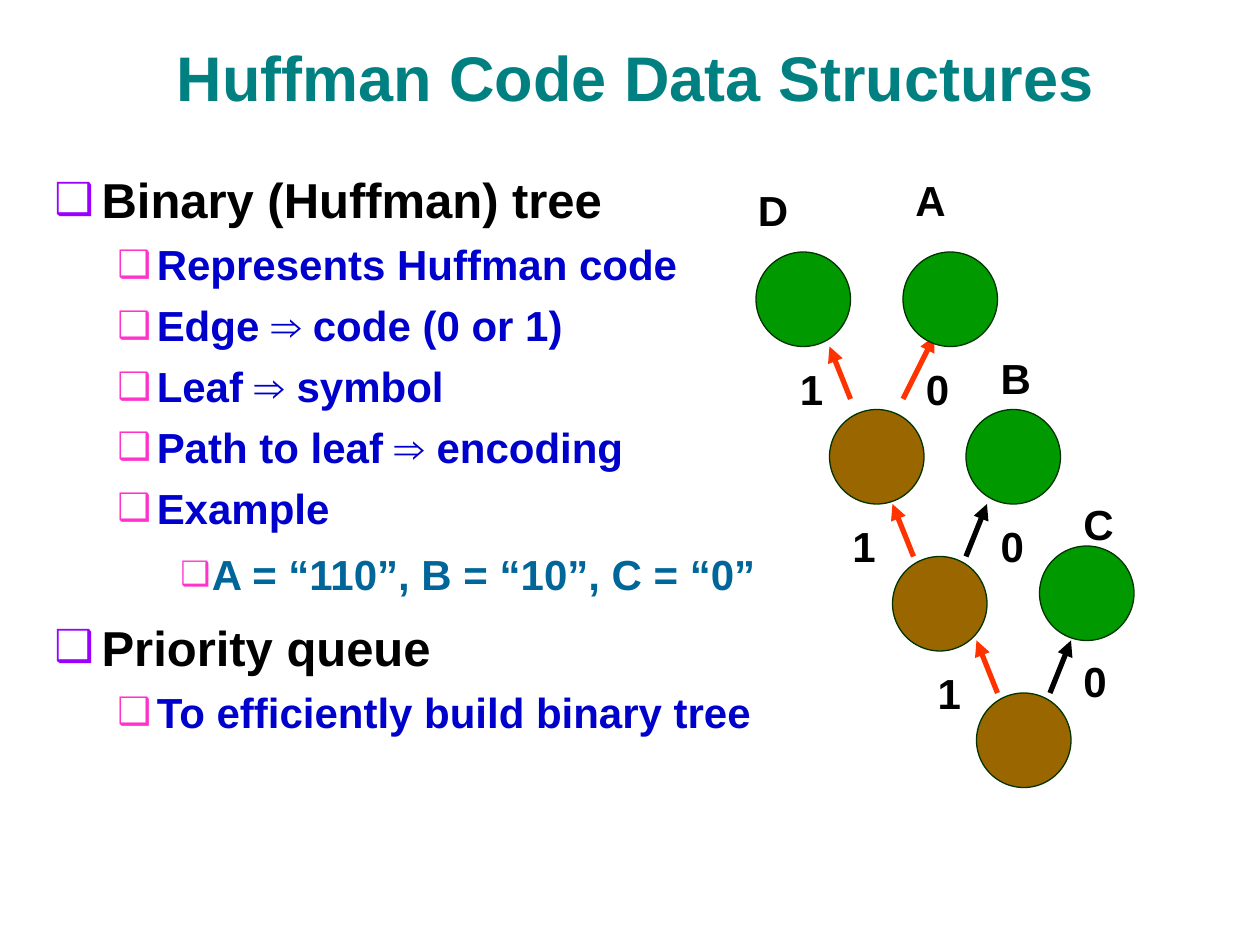
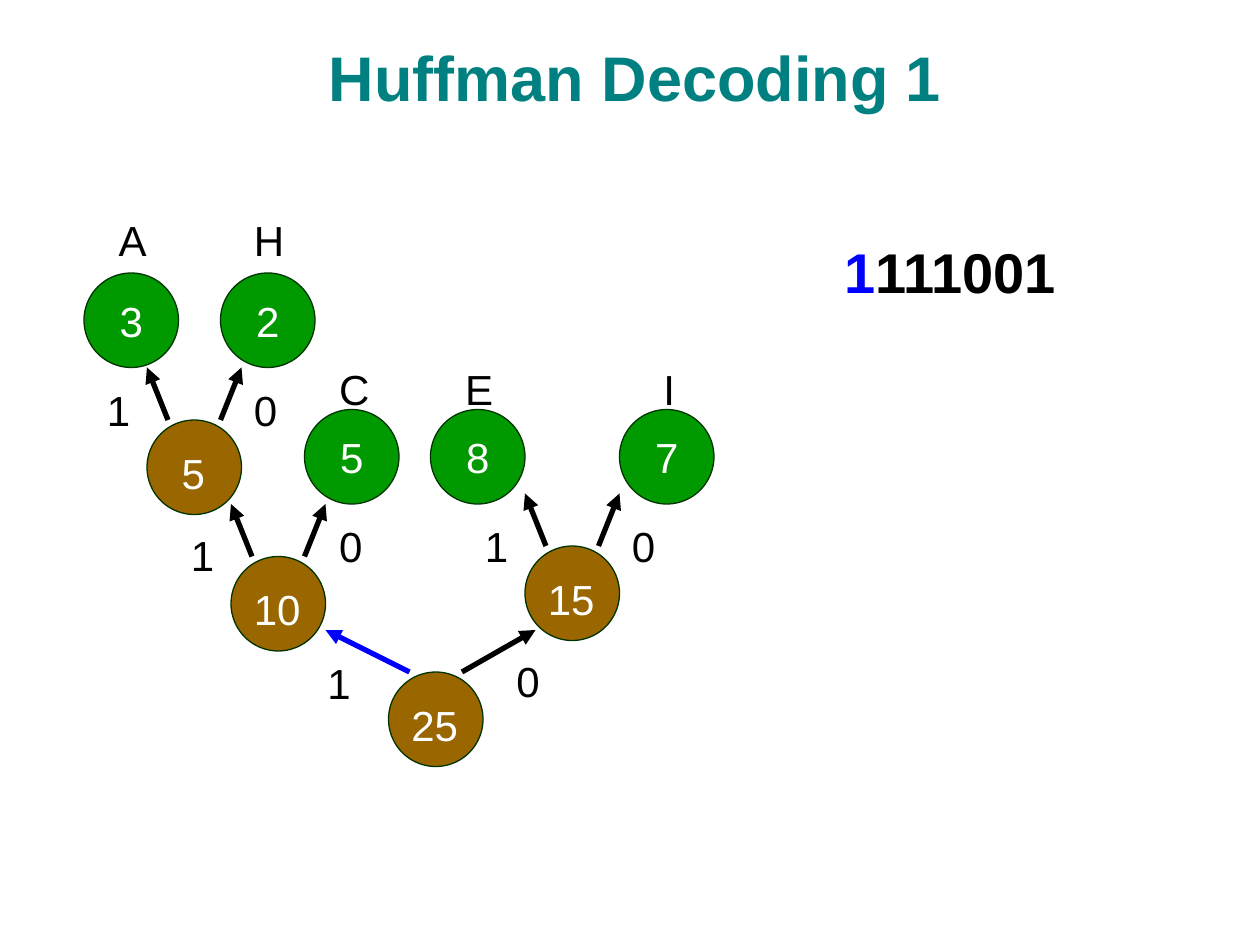
import dataclasses
from typing import Optional

import lxml.etree
import pptx
import pptx.dml.color
import pptx.enum.shapes
import pptx.enum.text
import pptx.oxml.ns
import pptx.shapes.autoshape
import pptx.slide
import pptx.text.text
import pptx.util

RGBColor = pptx.dml.color.RGBColor
TEAL = RGBColor(0x00, 0x80, 0x80)
BLACK = RGBColor(0x00, 0x00, 0x00)
WHITE = RGBColor(0xFF, 0xFF, 0xFF)
BLUE = RGBColor(0x00, 0x00, 0xFF)
NAVY = RGBColor(0x00, 0x00, 0xCC)
STEEL = RGBColor(0x00, 0x66, 0x99)
VIOLET = RGBColor(0x99, 0x00, 0xFF)
PINK = RGBColor(0xFF, 0x33, 0xCC)
ORANGE = RGBColor(0xFF, 0x33, 0x00)
GREEN = RGBColor(0x00, 0x99, 0x00)
BROWN = RGBColor(0x99, 0x66, 0x00)
OUTLINE = RGBColor(0x00, 0x33, 0x00)

FONT = "Arial"
EMU_PER_PX = 9525
NODE_SIZE = 72
EDGE_INSET = 16
LABEL_HEIGHT = 48


@dataclasses.dataclass(frozen=True)
class Leaf:
    left: int
    top: int
    value: str = ""


@dataclasses.dataclass(frozen=True)
class Branch:
    left: int
    top: int
    value: str = ""
    one_color: RGBColor = BLACK
    zero_color: RGBColor = BLACK
    one_reach: tuple[int, int] = (-16, -40)
    zero_reach: tuple[int, int] = (16, -40)
    lift: int = 0


@dataclasses.dataclass(frozen=True)
class Label:
    text: str
    left: int
    top: int
    width: int = 37


@dataclasses.dataclass(frozen=True)
class Tree:
    branches: list[Branch]
    leaves: list[Leaf]
    labels: list[Label]
    bold: bool


@dataclasses.dataclass(frozen=True)
class BulletStyle:
    margin: int
    hanging: int
    size: int
    color: RGBColor
    bullet_color: RGBColor
    bullet_percent: int
    space_before: int
    line_spacing: float


BULLET_STYLES = [
    BulletStyle(36, 36, 28, BLACK, VIOLET, 90, 7, 1.1),
    BulletStyle(78, 30, 24, NAVY, PINK, 90, 6, 1.0),
    BulletStyle(120, 24, 24, STEEL, PINK, 80, 6, 1.1),
]

OUTLINE_ITEMS = [
    (0, "Binary (Huffman) tree"),
    (1, "Represents Huffman code"),
    (1, "Edge ⇒ code (0 or 1)"),
    (1, "Leaf ⇒ symbol"),
    (1, "Path to leaf ⇒ encoding"),
    (1, "Example"),
    (2, "A = “110”, B = “10”, C = “0”"),
    (0, "Priority queue"),
    (1, "To efficiently build binary tree"),
]

CODE_TREE = Tree(
    branches=[
        Branch(632, 312, one_color=ORANGE, zero_color=ORANGE, zero_reach=(24, -48), lift=8),
        Branch(680, 424, one_color=ORANGE),
        Branch(744, 528, one_color=ORANGE),
    ],
    leaves=[Leaf(576, 192), Leaf(688, 192), Leaf(736, 312), Leaf(792, 416)],
    labels=[
        Label("D", 568, 136, 42),
        Label("A", 688, 128, 42),
        Label("B", 753, 264, 42),
        Label("C", 816, 375, 42),
        Label("1", 600, 272),
        Label("0", 696, 272),
        Label("1", 640, 392),
        Label("0", 753, 392),
        Label("1", 705, 504),
        Label("0", 816, 495),
    ],
    bold=True,
)

DECODING_TREE = Tree(
    branches=[
        Branch(112, 320, "5"),
        Branch(176, 424, "10"),
        Branch(400, 416, "15"),
        Branch(296, 512, "25", one_color=BLUE, one_reach=(-64, -32), zero_reach=(56, -32)),
    ],
    leaves=[
        Leaf(64, 208, "3"),
        Leaf(168, 208, "2"),
        Leaf(232, 312, "5"),
        Leaf(328, 312, "8"),
        Leaf(472, 312, "7"),
    ],
    labels=[
        Label("A", 81, 159, 40),
        Label("H", 184, 159, 42),
        Label("C", 249, 272, 42),
        Label("E", 345, 272, 40),
        Label("I", 496, 272, 28),
        Label("1", 72, 288),
        Label("0", 184, 288),
        Label("1", 136, 399),
        Label("0", 249, 392),
        Label("1", 360, 392),
        Label("0", 472, 392),
        Label("1", 240, 496),
        Label("0", 384, 495),
    ],
    bold=False,
)


def px(length: int) -> pptx.util.Emu:
    return pptx.util.Emu(length * EMU_PER_PX)


def style_paragraph(
    para: pptx.text.text._Paragraph,
    size: int,
    color: Optional[RGBColor],
    bold: bool = False,
    centered: bool = False,
) -> None:
    para.font.name = FONT
    para.font.size = pptx.util.Pt(size)
    para.font.bold = bold
    if color is not None:
        para.font.color.rgb = color
    if centered:
        para.alignment = pptx.enum.text.PP_ALIGN.CENTER


def add_box(
    page: pptx.slide.Slide, left: int, top: int, width: int, height: int, wrap: bool = True
) -> pptx.text.text.TextFrame:
    box = page.shapes.add_textbox(px(left), px(top), px(width), px(height))
    box.text_frame.word_wrap = wrap
    return box.text_frame


def add_title(page: pptx.slide.Slide, text: str) -> None:
    frame = add_box(page, 32, 16, 904, 76)
    frame.vertical_anchor = pptx.enum.text.MSO_ANCHOR.BOTTOM
    para = frame.paragraphs[0]
    para.text = text
    style_paragraph(para, 36, TEAL, bold=True, centered=True)


def add_bullet(para: pptx.text.text._Paragraph, style: BulletStyle) -> None:
    properties = para._p.get_or_add_pPr()
    properties.set("marL", str(px(style.margin)))
    properties.set("indent", str(-px(style.hanging)))

    def add_child(parent: lxml.etree._Element, tag: str, **attributes: str) -> lxml.etree._Element:
        return lxml.etree.SubElement(parent, pptx.oxml.ns.qn(tag), **attributes)

    bullet_color = add_child(properties, "a:buClr")
    add_child(bullet_color, "a:srgbClr", val=str(style.bullet_color))
    add_child(properties, "a:buSzPct", val=str(style.bullet_percent * 1000))
    add_child(properties, "a:buFont", typeface=FONT)
    add_child(properties, "a:buChar", char="❑")


def add_outline(page: pptx.slide.Slide) -> None:
    frame = add_box(page, 32, 120, 904, 560)
    for index, (level, text) in enumerate(OUTLINE_ITEMS):
        para = frame.add_paragraph() if index else frame.paragraphs[0]
        style = BULLET_STYLES[level]
        para.text = text
        para.level = level
        para.line_spacing = style.line_spacing
        para.space_before = pptx.util.Pt(style.space_before)
        add_bullet(para, style)
        style_paragraph(para, style.size, style.color, bold=True)


def add_label(page: pptx.slide.Slide, label: Label, color: RGBColor, bold: bool) -> None:
    frame = add_box(page, label.left, label.top, label.width, LABEL_HEIGHT, wrap=False)
    frame.auto_size = pptx.enum.text.MSO_AUTO_SIZE.SHAPE_TO_FIT_TEXT
    para = frame.paragraphs[0]
    para.text = label.text
    style_paragraph(para, 24, color, bold)


def add_node(
    page: pptx.slide.Slide, left: int, top: int, fill: RGBColor
) -> pptx.shapes.autoshape.Shape:
    node = page.shapes.add_shape(
        pptx.enum.shapes.MSO_SHAPE.OVAL, px(left), px(top), px(NODE_SIZE), px(NODE_SIZE)
    )
    node.shadow.inherit = False
    node.fill.solid()
    node.fill.fore_color.rgb = fill
    node.line.color.rgb = OUTLINE
    node.line.width = pptx.util.Pt(0.75)
    return node


def add_edge(
    page: pptx.slide.Slide, left: int, top: int, reach: tuple[int, int], color: RGBColor
) -> None:
    edge = page.shapes.add_connector(
        pptx.enum.shapes.MSO_CONNECTOR.STRAIGHT,
        px(left), px(top), px(left + reach[0]), px(top + reach[1]),
    )
    edge.line.color.rgb = color
    edge.line.width = pptx.util.Pt(3)
    line = edge.line._get_or_add_ln()
    lxml.etree.SubElement(line, pptx.oxml.ns.qn("a:tailEnd"), type="triangle")
    lxml.etree.SubElement(edge._element.spPr, pptx.oxml.ns.qn("a:effectLst"))


def add_branch(page: pptx.slide.Slide, branch: Branch) -> None:
    add_node(page, branch.left, branch.top, BROWN)
    start = branch.top - branch.lift
    add_edge(page, branch.left + EDGE_INSET, start, branch.one_reach, branch.one_color)
    add_edge(
        page, branch.left + NODE_SIZE - EDGE_INSET, start, branch.zero_reach, branch.zero_color
    )
    if branch.value:
        width = 19 + 18 * len(branch.value)
        left = branch.left + (NODE_SIZE - width) // 2
        add_label(page, Label(branch.value, left, branch.top + 16, width), WHITE, False)


def add_leaf(page: pptx.slide.Slide, leaf: Leaf) -> None:
    node = add_node(page, leaf.left, leaf.top, GREEN)
    if leaf.value:
        frame = node.text_frame
        frame.word_wrap = False
        frame.vertical_anchor = pptx.enum.text.MSO_ANCHOR.MIDDLE
        para = frame.paragraphs[0]
        para.text = leaf.value
        style_paragraph(para, 24, WHITE, centered=True)


def add_tree(page: pptx.slide.Slide, tree: Tree) -> None:
    for branch in tree.branches:
        add_branch(page, branch)
    for leaf in tree.leaves:
        add_leaf(page, leaf)
    for label in tree.labels:
        add_label(page, label, BLACK, tree.bold)


def add_encoded_bits(page: pptx.slide.Slide) -> None:
    para = add_box(page, 544, 176, 360, 61).paragraphs[0]
    para.space_before = pptx.util.Pt(20)
    style_paragraph(para, 32, None, bold=True, centered=True)
    for text, color in (("1", BLUE), ("111001", BLACK)):
        span = para.add_run()
        span.text = text
        span.font.color.rgb = color


def main() -> None:
    deck = pptx.Presentation()
    deck.slide_width, deck.slide_height = px(960), px(720)
    blank = deck.slide_layouts[6]

    page = deck.slides.add_slide(blank)
    add_title(page, "Huffman Code Data Structures")
    add_outline(page)
    add_tree(page, CODE_TREE)

    page = deck.slides.add_slide(blank)
    add_title(page, "Huffman Decoding 1")
    add_tree(page, DECODING_TREE)
    add_encoded_bits(page)

    deck.save("out.pptx")


if __name__ == "__main__":
    main()
